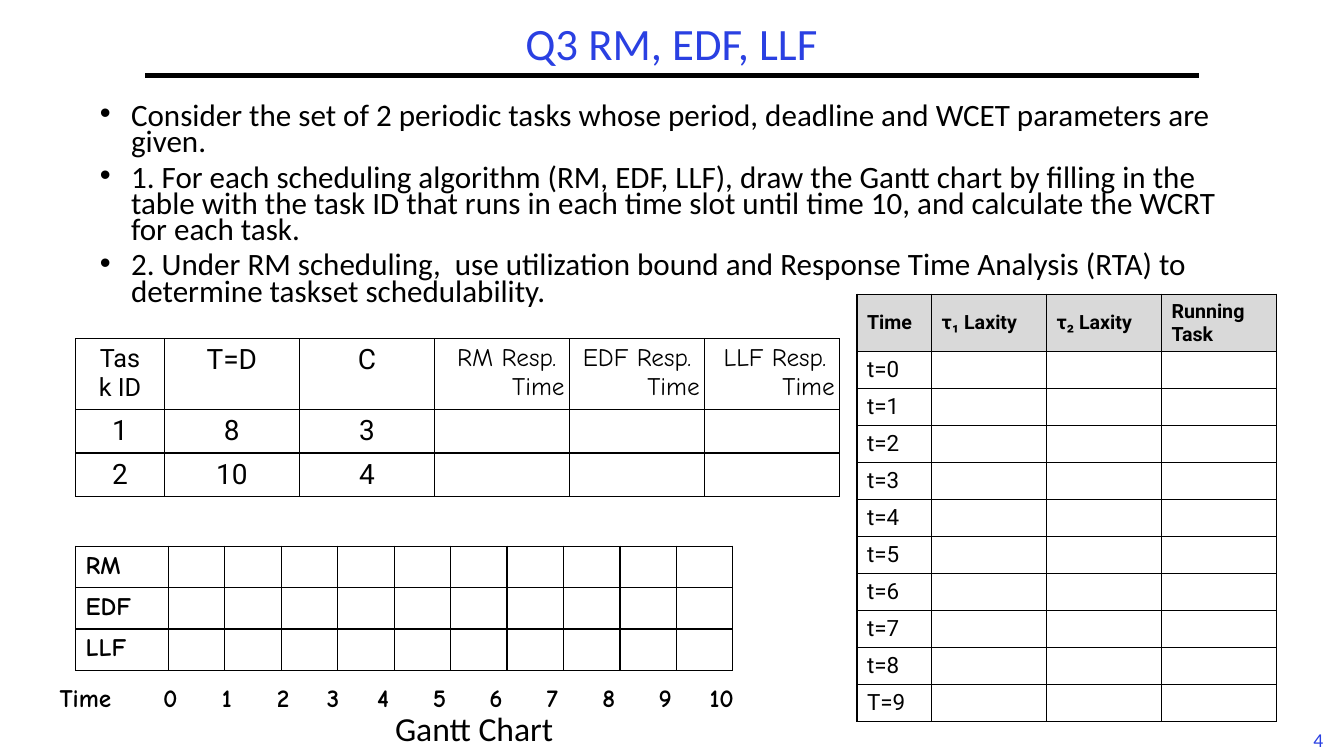
"""Builds the Q3 RM, EDF, LLF scheduling exercise slide."""
from lxml import etree
from pptx import Presentation
from pptx.dml.color import RGBColor
from pptx.enum.shapes import MSO_CONNECTOR
from pptx.enum.text import MSO_ANCHOR, MSO_AUTO_SIZE, PP_ALIGN
from pptx.oxml.ns import qn
from pptx.util import Inches, Pt

LEFT, CENTER, RIGHT = PP_ALIGN.LEFT, PP_ALIGN.CENTER, PP_ALIGN.RIGHT
TOP, MIDDLE = MSO_ANCHOR.TOP, MSO_ANCHOR.MIDDLE
COLORS = {"ink": "000000", "accent": "2A40E2", "header": "D9D9D9"}

TITLE = "Q3 RM, EDF, LLF"
QUESTIONS = [
    "Consider the set of 2 periodic tasks whose period, deadline and WCET parameters are given.",
    "1. For each scheduling algorithm (RM, EDF, LLF), draw the Gantt chart by filling in the table "
    "with the task ID that runs in each time slot until time 10, and calculate the WCRT for each task.",
    "2. Under RM scheduling,  use utilization bound and Response Time Analysis (RTA) to determine "
    "taskset schedulability.",
]
ALGORITHMS = ["RM", "EDF", "LLF"]
SLOTS = 10
TASK_HEADS = ["Task ID", "T=D", "C"]
TASKS = [("1", "8", "3"), ("2", "10", "4")]
LAXITY_HEADS = ["Time", "τ₁ Laxity", "τ₂ Laxity", "Running Task"]
LAXITY_TIMES = [f"t={time}" for time in range(9)] + ["T=9"]
CAPTION = "Gantt Chart"
SLIDE_NUMBER = "4"


def write(paragraph, text, font="Calibri", size=18, color="ink", bold=False,
          align=LEFT, line=None, before=None, bullet=False):
    """Put one formatted run of text in a paragraph."""
    if bullet:
        properties = paragraph._p.get_or_add_pPr()
        properties.set("marL", str(Inches(0.31)))
        properties.set("indent", str(Inches(-0.31)))
        etree.SubElement(properties, qn("a:buChar"), char="•")
    paragraph.alignment = align
    if line:
        paragraph.line_spacing = line
    if before:
        paragraph.space_before = Pt(before)
    run = paragraph.add_run()
    run.text = text
    run.font.name = font
    run.font.size = Pt(size)
    run.font.bold = bold
    run.font.color.rgb = RGBColor.from_string(COLORS[color])


def add_grid(slide, left, top, widths, heights):
    """Add a plain table with the given column widths and row heights."""
    table = slide.shapes.add_table(
        len(heights), len(widths), Inches(left), Inches(top),
        Inches(sum(widths)), Inches(sum(heights))).table
    table.first_row = table.horz_banding = False
    for column, width in zip(table.columns, widths):
        column.width = Inches(width)
    for row, height in zip(table.rows, heights):
        row.height = Inches(height)
    return table


def fill_cell(cell, text, bordered=True, fill=None, margin=0.1, anchor=TOP, **style):
    """Set the text, margins, borders and fill of a cell."""
    cell.vertical_anchor = anchor
    cell.margin_left = cell.margin_right = Inches(margin)
    paragraph = cell.text_frame.paragraphs[0]
    if text:
        write(paragraph, text, **style)
    else:
        etree.SubElement(paragraph._p, qn("a:endParaRPr"), sz="1400")
    if bordered:
        properties = cell._tc.get_or_add_tcPr()
        for side in ("a:lnL", "a:lnR", "a:lnT", "a:lnB"):
            border = etree.SubElement(properties, qn(side), w=str(Pt(1)))
            solid = etree.SubElement(border, qn("a:solidFill"))
            etree.SubElement(solid, qn("a:srgbClr"), val=COLORS["ink"])
    if fill:
        cell.fill.solid()
        cell.fill.fore_color.rgb = RGBColor.from_string(COLORS[fill])
    else:
        cell.fill.background()


def place(shape, left, top, width, height):
    """Move and size a shape, in inches."""
    shape.left, shape.top = Inches(left), Inches(top)
    shape.width, shape.height = Inches(width), Inches(height)


def add_heading(slide):
    """Add the title, its rule and the questions."""
    rule = slide.shapes.add_connector(
        MSO_CONNECTOR.STRAIGHT, Inches(1.44), Inches(0.75), Inches(11.89), Inches(0.75))
    rule.line.color.rgb = RGBColor.from_string(COLORS["ink"])
    rule.line.width = Pt(3)
    etree.SubElement(rule._element.spPr, qn("a:effectLst"))

    title, body = slide.placeholders
    place(title, 1.44, 0.17, 10.44, 0.58)
    title.text_frame.auto_size = MSO_AUTO_SIZE.NONE
    title.text_frame.vertical_anchor = MIDDLE
    write(title.text_frame.paragraphs[0], TITLE, size=32, color="accent", align=CENTER, line=0.9)

    place(body, 0.89, 1, 11.56, 2.17)
    frame = body.text_frame
    frame.auto_size = MSO_AUTO_SIZE.NONE
    for index, question in enumerate(QUESTIONS):
        paragraph = frame.add_paragraph() if index else frame.paragraphs[0]
        paragraph.space_before = Pt(0)
        write(paragraph, question, size=22.2, line=0.7, before=6.66 * bool(index), bullet=True)


def add_gantt(slide):
    """Add the Gantt grid, its time axis and its caption."""
    gantt = add_grid(slide, 0.75, 5.42, [0.92] + [0.56] * SLOTS, [0.41] * len(ALGORITHMS))
    for row, algorithm in zip(gantt.rows, ALGORITHMS):
        for cell, text in zip(row.cells, [algorithm] + [""] * SLOTS):
            fill_cell(cell, text, font="Comic Neue", bold=True)

    axis_widths = [0.92] + [0.56] * 3 + [0.43] + [0.56] * 7
    axis = add_grid(slide, 0.49, 6.74, axis_widths, [0.41])
    labels = ["Time"] + [str(time) for time in range(SLOTS + 1)]
    for index, (cell, label) in enumerate(zip(axis.rows[0].cells, labels)):
        fill_cell(cell, label, bordered=False, font="Comic Neue", bold=True,
                  align=CENTER if index else LEFT)

    caption = slide.shapes.add_textbox(Inches(3.82), Inches(7.05), Inches(1.83), Inches(0.43))
    caption.text_frame.word_wrap = True
    write(caption.text_frame.paragraphs[0], CAPTION, size=24, line=0.8)


def add_tasks(slide):
    """Add the task parameters with empty response times."""
    table = add_grid(slide, 0.75, 3.36, [0.88] + [1.34] * 5, [0.69, 0.43, 0.43])
    responses = [f"{algorithm} Resp.  Time" for algorithm in ALGORITHMS]
    rows = [TASK_HEADS + responses] + [list(task) + [""] * len(ALGORITHMS) for task in TASKS]
    for row, texts in zip(table.rows, rows):
        for index, (cell, text) in enumerate(zip(row.cells, texts)):
            if index < len(TASK_HEADS):
                fill_cell(cell, text, margin=0.19, font="Roboto", align=CENTER,
                          size=18 if text == TASK_HEADS[0] else 20)
            else:
                fill_cell(cell, text, margin=0.05, font="Comic Neue", align=RIGHT)


def add_laxity(slide):
    """Add the laxity worksheet."""
    table = add_grid(slide, 8.5, 2.92, [0.74] + [1.14] * 3, [0.56] + [0.36] * len(LAXITY_TIMES))
    rows = [LAXITY_HEADS] + [[time, "", "", ""] for time in LAXITY_TIMES]
    for index, (row, texts) in enumerate(zip(table.rows, rows)):
        heading = index == 0
        for cell, text in zip(row.cells, texts):
            fill_cell(cell, text, anchor=MIDDLE, fill="header" if heading else None,
                      font="Roboto", size=14 if heading else 16, bold=heading)


def main():
    """Build and save the slide."""
    deck = Presentation()
    deck.slide_width, deck.slide_height = Inches(13.33), Inches(7.5)
    slide = deck.slides.add_slide(deck.slide_layouts[1])
    add_heading(slide)
    add_gantt(slide)
    add_tasks(slide)
    add_laxity(slide)
    number = slide.shapes.add_textbox(Inches(12.86), Inches(7.17), Inches(0.43), Inches(0.33))
    write(number.text_frame.paragraphs[0], SLIDE_NUMBER, size=14, color="accent", align=CENTER)
    deck.save("out.pptx")


if __name__ == "__main__":
    main()
